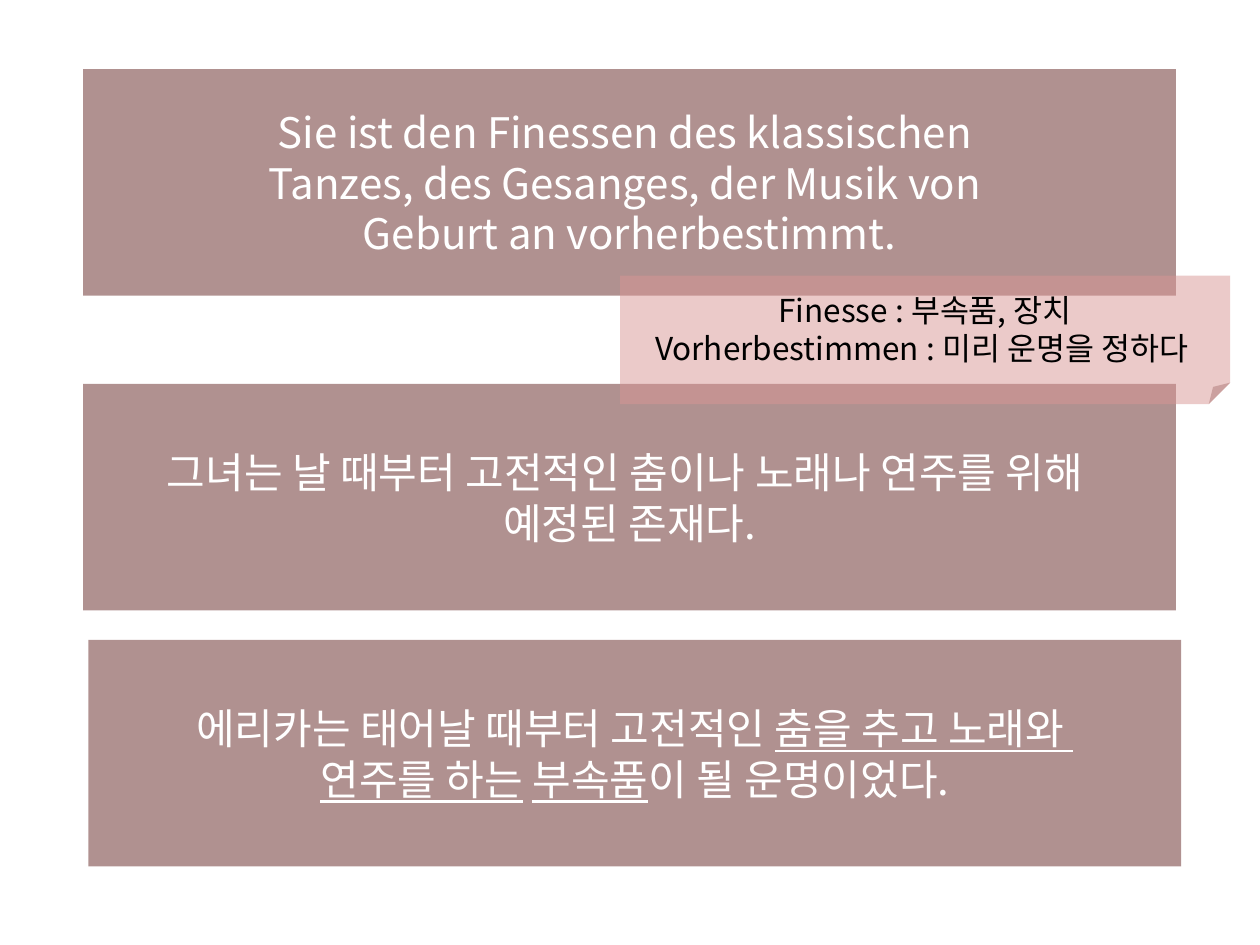
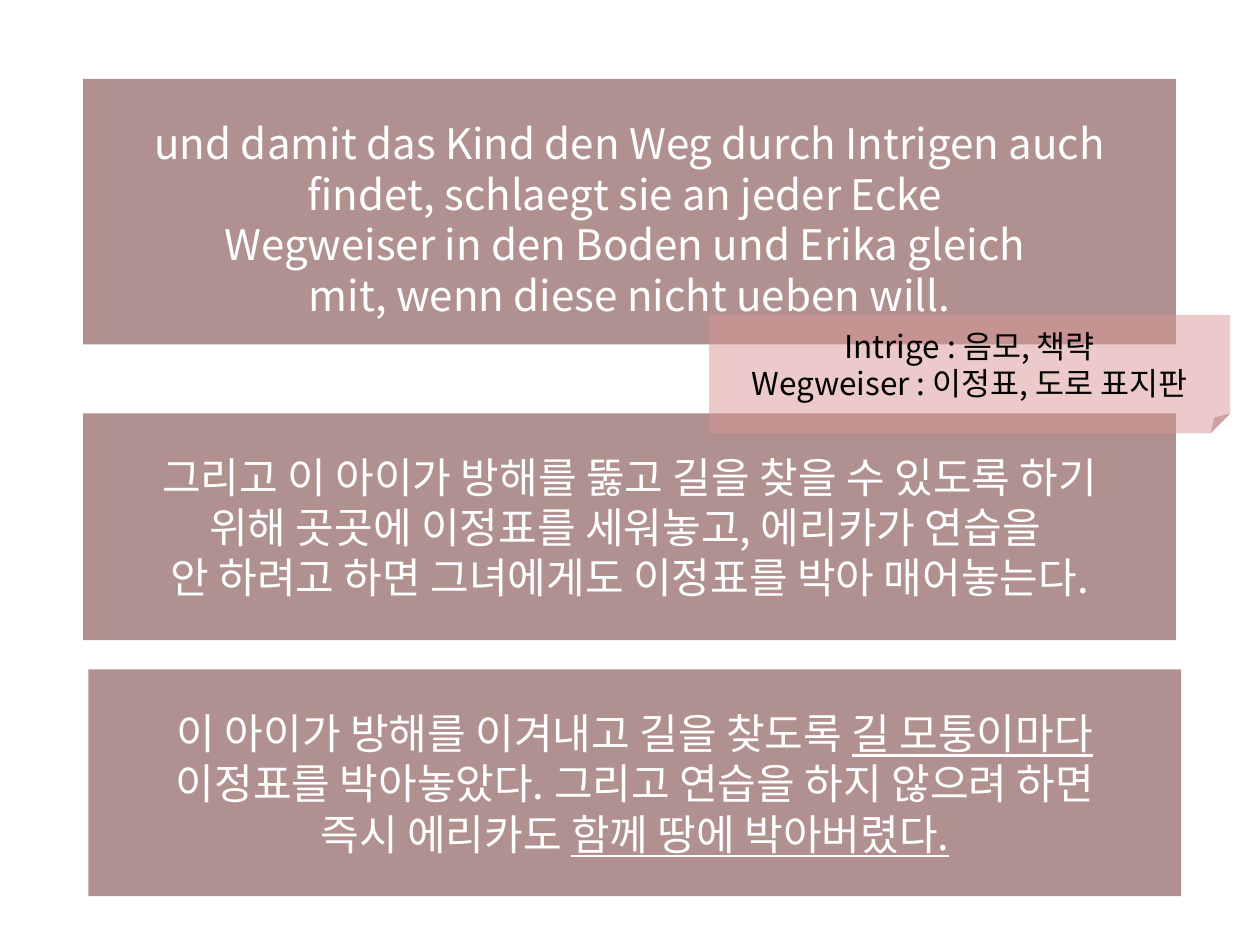
from lxml.etree import SubElement
from pptx import Presentation
from pptx.dml.color import RGBColor
from pptx.enum.shapes import MSO_SHAPE
from pptx.enum.text import MSO_ANCHOR, PP_ALIGN
from pptx.oxml.ns import qn
from pptx.util import Pt

FONT = "Noto Sans CJK KR"
PANEL_COLOR, NOTE_COLOR = "632523", "D99694"
LIGHT_TEXT, DARK_TEXT = "FFFFFF", "000000"
PANEL_LEFT, PANEL_WIDTH, PANEL_HEIGHT = 47.5, 624.5, 129.5
REVISION_INDENT, REVISION_STEP = 3, 146.3
NOTE_RIGHT = 703

PASSAGES = [
    {
        "quote_box": (39.5, PANEL_HEIGHT),
        "quote_shift": 0,
        "quote": [
            ["Sie ist den Finessen des klassischen "],
            ["Tanzes, des Gesanges, der Musik von "],
            ["Geburt an vorherbestimmt."],
        ],
        "translation_top": 219.4,
        "translation": [
            ["그녀는 날 때부터 고전적인 춤이나 노래나 연주를 위해 "],
            ["예정된 존재다."],
        ],
        "revision": [
            ["에리카는 태어날 때부터 고전적인 ", ("춤을 추고 노래와 ",)],
            [("연주를 하는",), " ", ("부속품",), "이 될 운명이었다."],
        ],
        "note_box": (354.3, 157.5, 73.4),
        "note": [
            ["Finesse : 부속품, 장치"],
            ["Vorherbestimmen : 미리 운명을 정하다 "],
        ],
    },
    {
        "quote_box": (45, 151.8),
        "quote_shift": 8,
        "quote": [
            ["und damit das Kind den Weg durch Intrigen auch findet, schlaegt sie an jeder Ecke "],
            ["Wegweiser in den Boden und Erika gleich "],
            ["mit, wenn diese nicht ueben will."],
        ],
        "translation_top": 236.3,
        "translation": [
            ["그리고 이 아이가 방해를 뚫고 길을 찾을 수 있도록 하기 위해 곳곳에 이정표를 세워놓고, 에리카가 연습을 "],
            ["안 하려고 하면 그녀에게도 이정표를 박아 매어놓는다."],
        ],
        "revision": [
            [
                "이 아이가 방해를 이겨내고 길을 찾도록 ",
                ("길 모퉁이마다 ",),
                "이정표를 박아놓았다. 그리고 연습을 하지 않으려 하면 즉시 에리카도 ",
                ("함께 땅에 박아버렸다.",),
            ],
        ],
        "note_box": (405.2, 180, 67.6),
        "note": [
            ["Intrige : 음모, 책략"],
            ["Wegweiser : 이정표, 도로 표지판"],
        ],
    },
]


def color(hex_code):
    return RGBColor.from_string(hex_code)


def add_card(slide, kind, box, fill_color):
    card = slide.shapes.add_shape(kind, *(Pt(length) for length in box))
    card.shadow.inherit = False
    card.line.fill.background()
    card.fill.solid()
    card.fill.fore_color.rgb = color(fill_color)
    tint = card._element.spPr.find(qn("a:solidFill"))[0]
    SubElement(tint, qn("a:alpha"), val="50000")
    return card


def write_lines(card, lines, size, text_color, side_inset=7.2, top_shift=0):
    frame = card.text_frame
    frame.word_wrap = True
    frame.vertical_anchor = MSO_ANCHOR.MIDDLE
    frame.margin_left = frame.margin_right = Pt(side_inset)
    frame.margin_top = Pt(3.6 + top_shift)
    frame.margin_bottom = Pt(3.6)
    for index, pieces in enumerate(lines):
        line = frame.add_paragraph() if index else frame.paragraphs[0]
        line.alignment = PP_ALIGN.CENTER
        for piece in pieces:
            underlined = isinstance(piece, tuple)
            run = line.add_run()
            run.text = piece[0] if underlined else piece
            run.font.size = Pt(size)
            run.font.color.rgb = color(text_color)
            run.font.name = FONT
            if underlined:
                run.font.underline = True
            SubElement(run._r.get_or_add_rPr(), qn("a:ea"), typeface=FONT)


def add_panel(slide, box, lines, top_shift=0):
    panel = add_card(slide, MSO_SHAPE.RECTANGLE, box, PANEL_COLOR)
    write_lines(panel, lines, 24, LIGHT_TEXT, 28.3, top_shift)


def add_note(slide, box, lines):
    note = add_card(slide, MSO_SHAPE.FOLDED_CORNER, box, NOTE_COLOR)
    write_lines(note, lines, 18, DARK_TEXT)


def add_passage(deck, passage):
    slide = deck.slides.add_slide(deck.slide_layouts[6])
    quote_top, quote_height = passage["quote_box"]
    translation_top = passage["translation_top"]
    add_panel(slide, (PANEL_LEFT, quote_top, PANEL_WIDTH, quote_height),
              passage["quote"], passage["quote_shift"])
    add_panel(slide, (PANEL_LEFT, translation_top, PANEL_WIDTH, PANEL_HEIGHT),
              passage["translation"])
    add_panel(slide, (PANEL_LEFT + REVISION_INDENT, translation_top + REVISION_STEP,
                      PANEL_WIDTH, PANEL_HEIGHT), passage["revision"])
    note_left, note_top, note_height = passage["note_box"]
    add_note(slide, (note_left, note_top, NOTE_RIGHT - note_left, note_height),
             passage["note"])


def main():
    deck = Presentation()
    deck.slide_width, deck.slide_height = Pt(720), Pt(540)
    for passage in PASSAGES:
        add_passage(deck, passage)
    deck.save("out.pptx")


if __name__ == "__main__":
    main()
